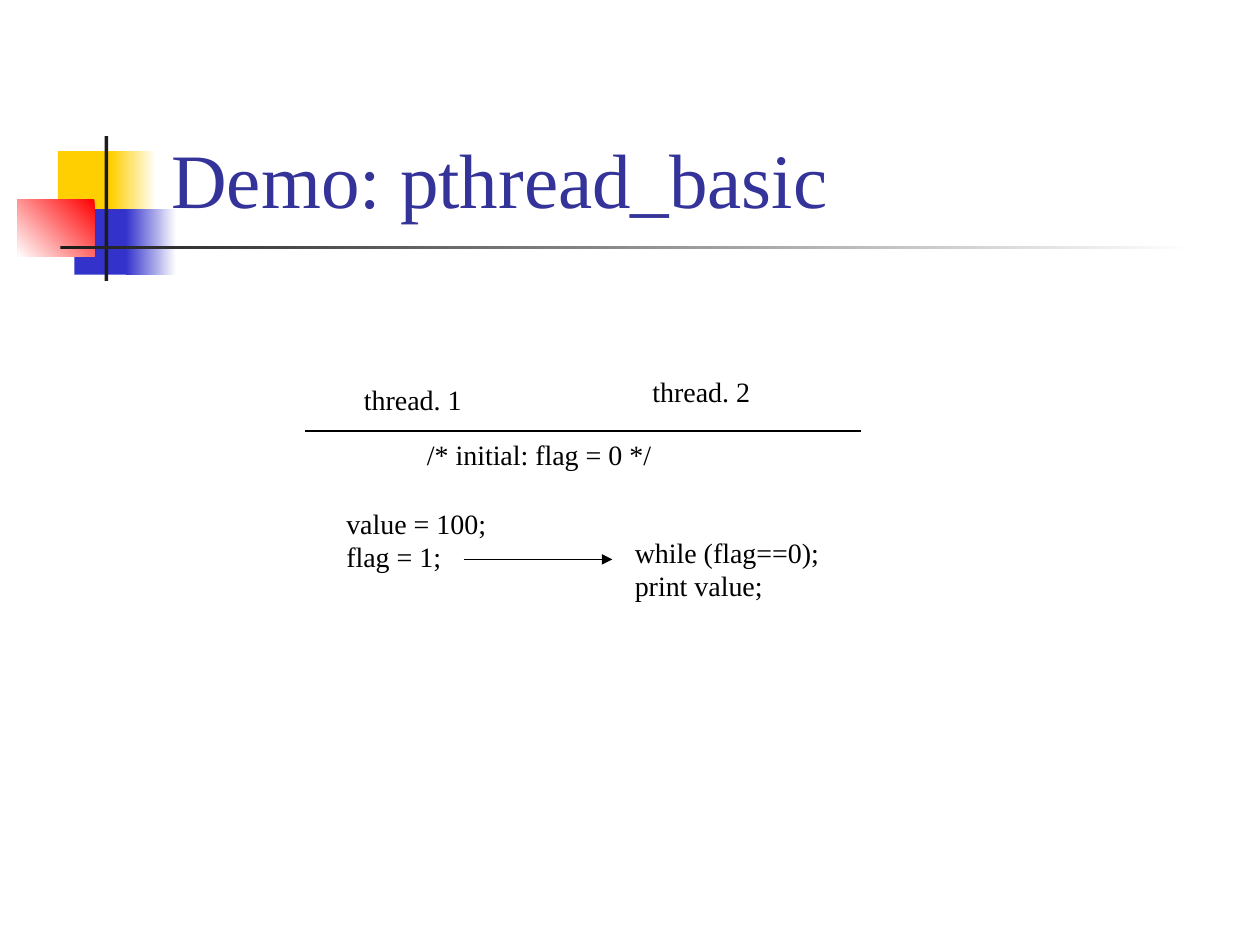
from lxml import etree
from pptx import Presentation
from pptx.dml.color import RGBColor
from pptx.enum.shapes import MSO_CONNECTOR, MSO_SHAPE
from pptx.enum.text import MSO_ANCHOR, MSO_AUTO_SIZE, PP_ALIGN
from pptx.oxml.ns import qn
from pptx.util import Inches, Pt

RECT = MSO_SHAPE.RECTANGLE
STRAIGHT = MSO_CONNECTOR.STRAIGHT
BOTTOM, TOP = MSO_ANCHOR.BOTTOM, MSO_ANCHOR.TOP
LEFT = PP_ALIGN.LEFT
NO_AUTOFIT = MSO_AUTO_SIZE.NONE
TITLE_ONLY = 5
FONT = "Times New Roman"
COLORS = {
    "yellow": "FFCF01",
    "blue": "3333CC",
    "red": "FF0000",
    "bar": "1C1C1C",
    "title": "333399",
    "black": "000000",
    "white": "FFFFFF",
}


def rgb(name):
    return RGBColor.from_string(COLORS[name])


def set_text(tf, text, size=16, color="black", anchor=TOP, wrap=False):
    tf.text = text
    tf.word_wrap = wrap
    tf.auto_size = NO_AUTOFIT
    tf.vertical_anchor = anchor
    for p in tf.paragraphs:
        p.alignment = LEFT
        p.line_spacing = 1.0
        p.font.name = FONT
        p.font.size = Pt(size)
        p.font.color.rgb = rgb(color)


def add_title(s, text):
    title = s.shapes.title
    title.left, title.top = Inches(1.26), Inches(0.23)
    title.width, title.height = Inches(8.52), Inches(1.6)
    set_text(title.text_frame, text, size=44, color="title", anchor=BOTTOM, wrap=True)
    # Bring the title in front of the decoration
    title._element.getparent().append(title._element)


def add_label(s, text, x, y, w, h=0.37):
    box = s.shapes.add_textbox(Inches(x), Inches(y), Inches(w), Inches(h))
    set_text(box.text_frame, text)


def add_rect(s, x, y, w, h, color, fade=None):
    """Add a borderless rectangle; fade is the angle at which it fades to white."""
    sp = s.shapes.add_shape(RECT, Inches(x), Inches(y), Inches(w), Inches(h))
    sp.shadow.inherit = False
    sp.line.fill.background()
    if fade is None:
        sp.fill.solid()
        sp.fill.fore_color.rgb = rgb(color)
    else:
        sp.fill.gradient()
        sp.fill.gradient_angle = fade
        for stop, name in zip(sp.fill.gradient_stops, (color, "white")):
            stop.color.rgb = rgb(name)


def add_line(s, x1, x2, y, arrow=False):
    line = s.shapes.add_connector(STRAIGHT, Inches(x1), Inches(y), Inches(x2), Inches(y))
    line.line.color.rgb = rgb("black")
    line.line.width = Pt(0.75)
    if arrow:
        etree.SubElement(line.line._get_or_add_ln(), qn("a:tailEnd"), type="triangle")
    etree.SubElement(line._element.spPr, qn("a:effectLst"))


def add_decoration(s):
    add_rect(s, 0.46, 1.2, 0.48, 0.52, "yellow")
    add_rect(s, 0.88, 1.2, 0.36, 0.52, "yellow", fade=0)
    add_rect(s, 0.59, 1.66, 0.46, 0.52, "blue")
    add_rect(s, 1, 1.66, 0.4, 0.52, "blue", fade=0)
    add_rect(s, 0.14, 1.58, 0.61, 0.46, "red", fade=225)
    add_rect(s, 0.83, 1.08, 0.03, 1.15, "bar")
    add_rect(s, 0.48, 1.95, 9, 0.03, "bar", fade=0)


def add_thread_diagram(s):
    add_label(s, "value = 100;\nflag = 1;", 2.65, 3.97, 1.32, 0.64)
    add_label(s, "while (flag==0);\nprint value;", 4.94, 4.2, 1.66, 0.64)
    add_line(s, 2.42, 6.83, 3.42)
    add_label(s, "thread. 1", 2.79, 2.99, 0.97)
    add_label(s, "thread. 2", 5.08, 2.92, 0.97)
    add_label(s, "/* initial: flag = 0 */", 3.29, 3.42, 1.98)
    add_line(s, 3.68, 4.86, 4.44, arrow=True)


def main():
    prs = Presentation()
    prs.slide_width, prs.slide_height = Inches(10), Inches(7.5)
    s = prs.slides.add_slide(prs.slide_layouts[TITLE_ONLY])
    add_decoration(s)
    add_title(s, "Demo: pthread_basic")
    add_thread_diagram(s)
    prs.save("out.pptx")


if __name__ == "__main__":
    main()
